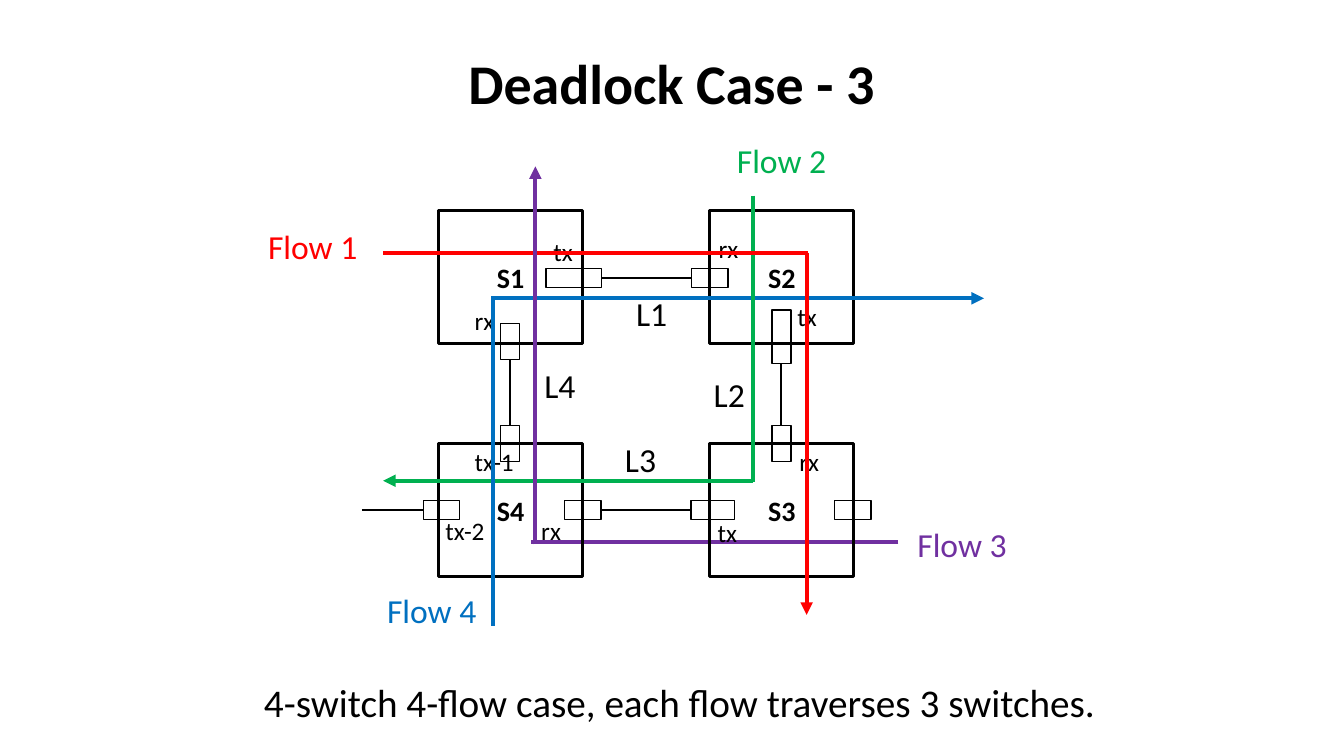
from lxml import etree
from pptx import Presentation
from pptx import util as u
from pptx.dml.color import RGBColor
from pptx.enum import shapes, text
from pptx.oxml.ns import qn

COLORS = {"black": "000000", "red": "FF0000", "green": "00B050",
          "purple": "7030A0", "blue": "0070C0"}
FONT = "Calibri"
SWITCH_W, SWITCH_H = 1.43, 1.32
PORT_THICK = 0.19
TOP, RIGHT, BOTTOM, LEFT = 0, 3, 2, 1  # connection sites of a rectangle


def rgb(name):
    return RGBColor.from_string(COLORS[name])


def write(frame, words, size=18, color="black", bold=False, align=None):
    paragraph = frame.paragraphs[0]
    paragraph.alignment = align
    run = paragraph.add_run()
    run.text = words
    run.font.name = FONT
    run.font.size = u.Pt(size)
    run.font.bold = bold
    run.font.color.rgb = rgb(color)


def add_label(slide, words, x, y, w, h, wrap=False, **style):
    frame = slide.shapes.add_textbox(*map(u.Inches, (x, y, w, h))).text_frame
    frame.word_wrap = wrap
    frame.auto_size = text.MSO_AUTO_SIZE.SHAPE_TO_FIT_TEXT
    write(frame, words, **style)


def add_box(slide, x, y, w, h, weight):
    box = slide.shapes.add_shape(shapes.MSO_SHAPE.RECTANGLE,
                                 *map(u.Inches, (x, y, w, h)))
    box.shadow.inherit = False
    box.fill.background()
    box.line.color.rgb = rgb("black")
    box.line.width = u.Pt(weight)
    return box


def add_switch(slide, name, x, y):
    switch = add_box(slide, x, y, SWITCH_W, SWITCH_H, 2.25)
    switch.text_frame.vertical_anchor = text.MSO_ANCHOR.MIDDLE
    write(switch.text_frame, name, size=20, bold=True,
          align=text.PP_ALIGN.CENTER)


def add_port(slide, center_x, center_y, length=0.36, upright=False):
    w, h = (PORT_THICK, length) if upright else (length, PORT_THICK)
    return add_box(slide, center_x - w / 2, center_y - h / 2, w, h, 1)


def add_line(slide, start, end, color="black", weight=1.5, arrow=False):
    line = slide.shapes.add_connector(shapes.MSO_CONNECTOR.STRAIGHT,
                                      *map(u.Inches, (*start, *end)))
    line.line.color.rgb = rgb(color)
    line.line.width = u.Pt(weight)
    if arrow:
        etree.SubElement(line.line._get_or_add_ln(), qn("a:tailEnd"),
                         type="triangle")
    etree.SubElement(line._element.spPr, qn("a:effectLst"))
    return line


def add_link(slide, tx_port, tx_side, rx_port, rx_side):
    link = add_line(slide, (0, 0), (1, 1))
    link.begin_connect(tx_port, tx_side)
    link.end_connect(rx_port, rx_side)


def main():
    deck = Presentation()
    deck.slide_width, deck.slide_height = u.Inches(13.33), u.Inches(7.5)
    slide = deck.slides.add_slide(deck.slide_layouts[6])

    # Title and summary
    add_label(slide, "Deadlock Case - 3", 0.35, 0.43, 12.62, 0.77, wrap=True,
              size=40, bold=True, align=text.PP_ALIGN.CENTER)
    add_label(slide, "4-switch 4-flow case, each flow traverses 3 switches.",
              2.52, 6.68, 8.66, 0.57, wrap=True, size=28)

    # Flow 3 enters behind the switches
    add_line(slide, (8.91, 5.38), (5.27, 5.38), "purple", 3)

    # Switches
    for name, x, y in [("S1", 4.35, 2.09), ("S2", 7.04, 2.09),
                       ("S3", 7.04, 4.4), ("S4", 4.35, 4.4)]:
        add_switch(slide, name, x, y)

    # Ports
    s1_tx = add_port(slide, 5.69, 2.76, 0.55)
    s2_rx = add_port(slide, 7.04, 2.76)
    s2_tx = add_port(slide, 7.75, 3.34, 0.53, upright=True)
    s3_rx = add_port(slide, 7.75, 4.4, upright=True)
    s3_tx = add_port(slide, 7.07, 5.06, 0.43)
    s4_rx = add_port(slide, 5.78, 5.06)
    s4_tx1 = add_port(slide, 5.06, 4.4, upright=True)
    s1_rx = add_port(slide, 5.06, 3.39, upright=True)
    s4_tx2 = add_port(slide, 4.38, 5.06)
    add_port(slide, 8.46, 5.06)

    # Port names
    for name, x, y, w in [
            ("tx", 5.39, 2.3, 0.39), ("rx", 7.03, 2.27, 0.4),
            ("tx", 7.81, 2.94, 0.39), ("rx", 7.83, 4.38, 0.4),
            ("tx", 7.02, 5.08, 0.39), ("rx", 5.27, 5.06, 0.4),
            ("tx-1", 4.61, 4.38, 0.6), ("rx", 4.61, 2.98, 0.4),
            ("tx-2", 4.32, 5.06, 0.6)]:
        add_label(slide, name, x, y, w, 0.4)

    # Links between switches, and the open link of S4
    add_link(slide, s1_tx, RIGHT, s2_rx, LEFT)
    add_link(slide, s2_tx, BOTTOM, s3_rx, TOP)
    add_link(slide, s3_tx, LEFT, s4_rx, RIGHT)
    add_link(slide, s4_tx1, TOP, s1_rx, BOTTOM)
    open_link = add_line(slide, (3.59, 5.06), (4.2, 5.06))
    open_link.end_connect(s4_tx2, LEFT)

    # Legs of the flows, from back to front
    for start, end, color, arrow in [
            ((4.89, 2.96), (9.76, 2.96), "blue", True),
            ((7.47, 4.77), (3.8, 4.77), "green", True),
            ((7.47, 1.94), (7.47, 4.78), "green", False),
            ((3.8, 2.51), (8.01, 2.51), "red", False),
            ((8, 2.51), (8, 6.1), "red", True),
            ((5.31, 5.4), (5.31, 1.65), "purple", True),
            ((4.89, 6.21), (4.89, 2.94), "blue", False)]:
        add_line(slide, start, end, color, 3, arrow)

    # Flow and link names
    for name, x, y, color in [
            ("Flow 1", 2.56, 2.19, "red"), ("Flow 2", 7.21, 1.34, "green"),
            ("Flow 3", 9, 5.15, "purple"), ("Flow 4", 3.74, 5.8, "blue")]:
        add_label(slide, name, x, y, 1.09, 0.5, size=24, color=color)
    for name, x, y in [("L1", 6.21, 2.86), ("L2", 6.98, 3.66),
                       ("L3", 6.1, 4.31), ("L4", 5.3, 3.57)]:
        add_label(slide, name, x, y, 0.51, 0.5, size=24)

    deck.save("out.pptx")


if __name__ == "__main__":
    main()
